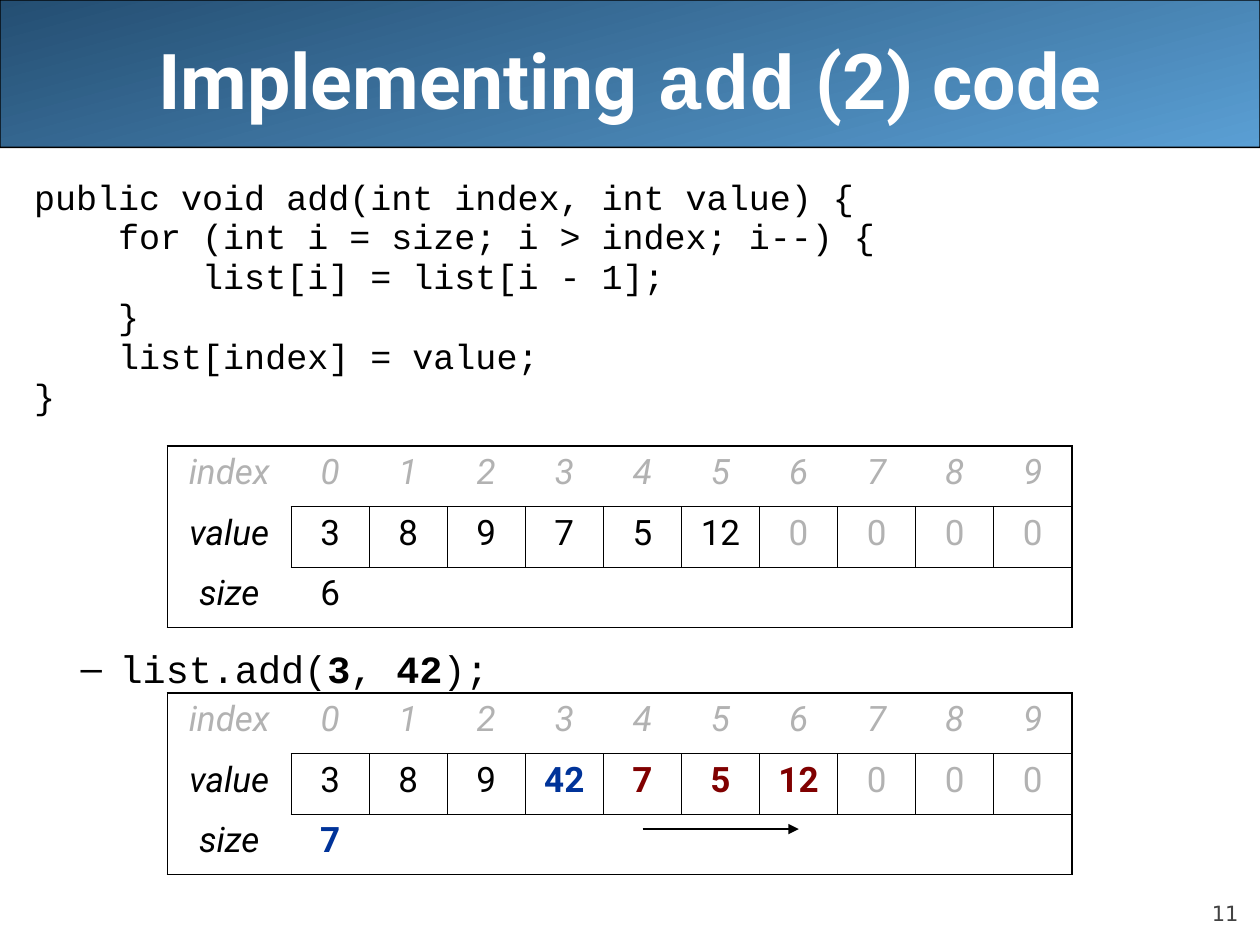
from dataclasses import dataclass

from lxml import etree
from pptx import Presentation, util as u
from pptx.dml.color import RGBColor
from pptx.enum import shapes, text
from pptx.oxml import ns


@dataclass(frozen=True)
class Theme:
    sans: str = "Roboto"
    mono: str = "Courier New"
    footer: str = "DejaVu Sans"
    black: str = "000000"
    white: str = "FFFFFF"
    muted: str = "B2B2B2"
    added: str = "003399"
    shifted: str = "800000"
    number: str = "424242"
    bar: tuple = ("244E72", "5A9FD4")
    title_size: int = 44
    call_size: int = 22
    body_size: int = 20
    number_size: int = 12
    outer: float = 1.08
    inner: float = 0.45


T = Theme()
TITLE = [("Implementing ", T.sans), ("add", T.mono), (" (2) code", T.sans)]
CODE = """public void add(int index, int value) {
    for (int i = size; i > index; i--) {
        list[i] = list[i - 1];
    }
    list[index] = value;
}""".split("\n")
CALL = [("list.add(", False), ("3", True), (", ", False), ("42", True), (");", False)]
# Each state: top, values, size, index of the added value, indexes that shifted
STATES = [
    (3.54, [3, 8, 9, 7, 5, 12, 0, 0, 0, 0], 6, None, range(0)),
    (5.5, [3, 8, 9, 42, 7, 5, 12, 0, 0, 0], 7, 3, range(4, 7)),
]
SLIDE_NUMBER = "11"

SLIDE_W, SLIDE_H = 10, 7.5
ARRAY_LEFT, LABEL_W, CELL_W, ROW_H = 1.33, 0.98, 0.62, 0.48


def box(left, top, width, height):
    return [u.Inches(v) for v in (left, top, width, height)]


def place(shape, *bounds):
    shape.left, shape.top, shape.width, shape.height = box(*bounds)


def add_run(paragraph, words, font, size, color=T.black, bold=False, italic=False):
    run = paragraph.add_run()
    run.text = words
    run.font.name, run.font.size = font, u.Pt(size)
    run.font.bold, run.font.italic = bold, italic
    run.font.color.rgb = RGBColor.from_string(color)


def set_bullet(paragraph, margin, indent, char=None):
    props = paragraph._p.get_or_add_pPr()
    props.set("marL", str(u.Inches(margin)))
    props.set("indent", str(u.Inches(indent)))
    if char:
        etree.SubElement(props, ns.qn("a:buChar"), char=char)
    else:
        etree.SubElement(props, ns.qn("a:buNone"))


def set_borders(cell, widths):
    """Draw the left, right, top and bottom edges; a width of 0 hides one."""
    props = cell._tc.get_or_add_tcPr()
    for place_no, (side, width) in enumerate(zip("LRTB", widths)):
        line = etree.Element(ns.qn(f"a:ln{side}"), w=str(u.Pt(width)))
        if width:
            fill = etree.SubElement(line, ns.qn("a:solidFill"))
            etree.SubElement(fill, ns.qn("a:srgbClr"), val=T.black)
        else:
            etree.SubElement(line, ns.qn("a:noFill"))
        props.insert(place_no, line)


def edge_widths(row, col, last_row, last_col):
    """Thick frame outside, thin lines around the value cells."""
    value_row, in_array = row == 1, col > 0
    return (
        T.outer if col == 0 else T.inner * (value_row and in_array),
        T.outer if col == last_col else T.inner * value_row,
        T.outer if row == 0 else T.inner * in_array,
        T.outer if row == last_row else T.inner * in_array,
    )


def value_style(i, size, added, shifted):
    if i == added:
        return {"color": T.added, "bold": True}
    if i in shifted:
        return {"color": T.shifted, "bold": True}
    return {"color": T.black if i < size else T.muted}


def add_array(slide, top, values, size, added, shifted):
    faint = {"color": T.muted, "italic": True}
    label = {"italic": True}
    size_style = {} if added is None else {"color": T.added, "bold": True}
    rows = [
        [("index", faint)] + [(i, faint) for i in range(len(values))],
        [("value", label)]
        + [(v, value_style(i, size, added, shifted)) for i, v in enumerate(values)],
        [("size", label), (size, size_style)],
    ]
    last_row, last_col = len(rows) - 1, len(values)
    table = slide.shapes.add_table(
        len(rows), last_col + 1,
        *box(ARRAY_LEFT, top, LABEL_W + CELL_W * last_col, ROW_H * len(rows))).table
    table.first_row = table.horz_banding = False
    for col, column in enumerate(table.columns):
        column.width = u.Inches(CELL_W if col else LABEL_W)
    for row, entries in enumerate(rows):
        for col in range(last_col + 1):
            cell = table.cell(row, col)
            cell.fill.background()
            set_borders(cell, edge_widths(row, col, last_row, last_col))
            if col < len(entries):
                words, style = entries[col]
                paragraph = cell.text_frame.paragraphs[0]
                paragraph.alignment = text.PP_ALIGN.CENTER
                add_run(paragraph, str(words), T.sans, T.body_size, **style)


def add_shift_arrow(slide, top, shifted):
    start, end = (ARRAY_LEFT + LABEL_W + CELL_W * (i + 0.5)
                  for i in (shifted[0], shifted[-1]))
    y = top + ROW_H * 2.25
    arrow = slide.shapes.add_connector(
        shapes.MSO_CONNECTOR.STRAIGHT, *box(start, y, end, y))
    arrow.line.color.rgb = RGBColor.from_string(T.black)
    arrow.line.width = u.Pt(0.75)
    etree.SubElement(arrow.line._get_or_add_ln(), ns.qn("a:tailEnd"), type="triangle")
    etree.SubElement(arrow._element.spPr, ns.qn("a:effectLst"))


def add_title_bar(slide):
    bar = slide.shapes.add_shape(
        shapes.MSO_SHAPE.ROUNDED_RECTANGLE, *box(0, 0, SLIDE_W, 1.17))
    bar.adjustments[0] = 0.001
    bar.shadow.inherit = False
    bar.fill.gradient()
    bar.fill.gradient_angle = 360 - 75
    for stop, color in zip(bar.fill.gradient_stops, T.bar):
        stop.color.rgb = RGBColor.from_string(color)
    bar.line.color.rgb = RGBColor.from_string(T.black)
    bar.line.width = u.Pt(0.75)
    slide.shapes._spTree.insert(2, bar._element)  # behind the title


def fill_title(title):
    place(title, 0.5, 0, 9, 1.25)
    title.text_frame.vertical_anchor = text.MSO_ANCHOR.MIDDLE
    title.text_frame.auto_size = text.MSO_AUTO_SIZE.NONE
    heading = title.text_frame.paragraphs[0]
    heading.alignment = text.PP_ALIGN.CENTER
    for words, font in TITLE:
        add_run(heading, words, font, T.title_size, T.white, bold=True)


def fill_body(body):
    place(body, 0.17, 1.42, 9.83, 5.67)
    frame = body.text_frame
    frame.auto_size = text.MSO_AUTO_SIZE.NONE
    for i, code_line in enumerate(CODE):
        paragraph = frame.add_paragraph() if i else frame.paragraphs[0]
        set_bullet(paragraph, 0.25, -0.25)
        paragraph.line_spacing = 0.74
        paragraph.space_before = u.Pt(5 if i else 0)
        add_run(paragraph, code_line, T.mono, T.body_size)
    call = frame.add_paragraph()
    call.level = 1
    set_bullet(call, 0.68, -0.31, "–")
    call.space_before = u.Pt(131)  # room for the first array
    for words, bold in CALL:
        add_run(call, words, T.mono, T.call_size, bold=bold)


def add_slide_number(slide):
    frame = slide.shapes.add_textbox(*box(9, 6.95, 0.83, 0.4)).text_frame
    frame.word_wrap = True
    frame.vertical_anchor = text.MSO_ANCHOR.BOTTOM
    frame.margin_left = frame.margin_right = frame.margin_top = frame.margin_bottom = 0
    frame.paragraphs[0].alignment = text.PP_ALIGN.RIGHT
    add_run(frame.paragraphs[0], SLIDE_NUMBER, T.footer, T.number_size, T.number)


def main():
    deck = Presentation()
    deck.slide_width, deck.slide_height = u.Inches(SLIDE_W), u.Inches(SLIDE_H)
    slide = deck.slides.add_slide(deck.slide_layouts[1])
    add_title_bar(slide)
    fill_title(slide.shapes.title)
    fill_body(slide.placeholders[1])
    for top, values, size, added, shifted in STATES:
        add_array(slide, top, values, size, added, shifted)
        if shifted:
            add_shift_arrow(slide, top, shifted)
    add_slide_number(slide)
    deck.save("out.pptx")


if __name__ == "__main__":
    main()
